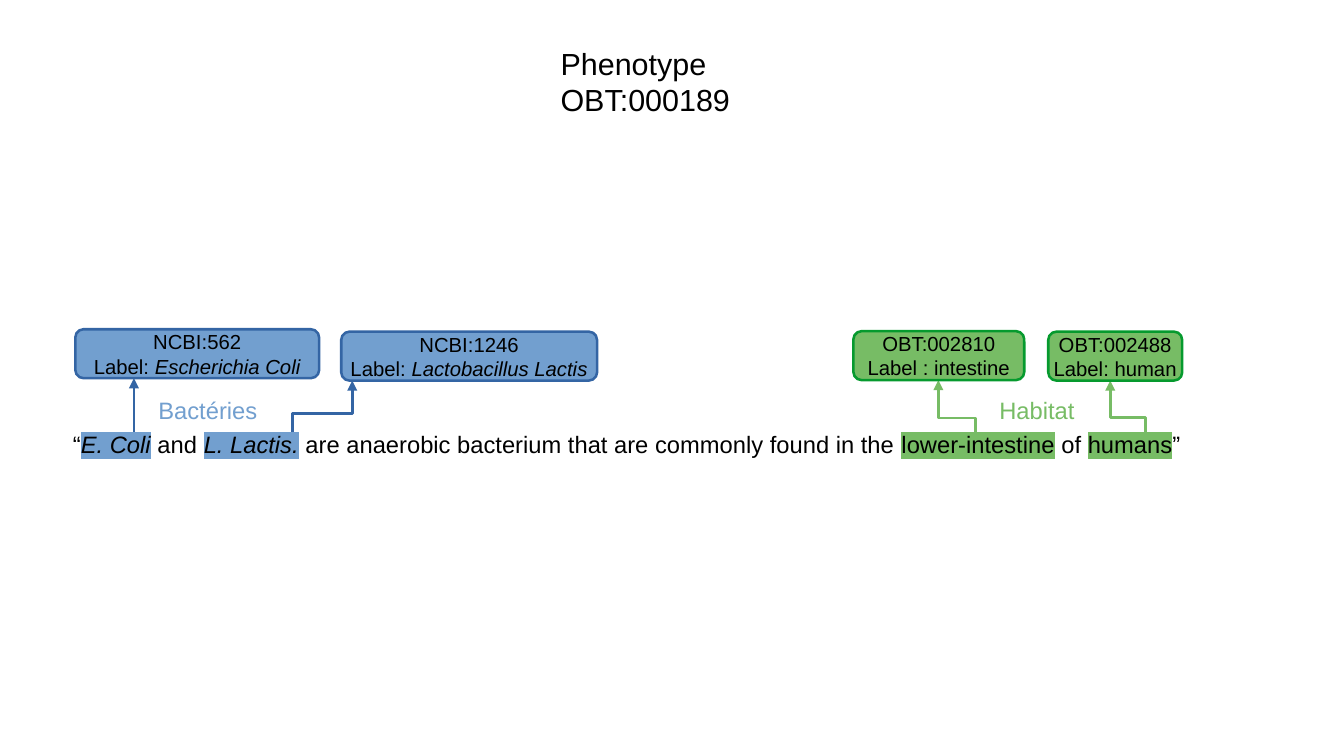
from lxml.etree import SubElement
from pptx import Presentation
from pptx.dml.color import RGBColor
from pptx.enum.shapes import MSO_CONNECTOR, MSO_SHAPE
from pptx.enum.text import MSO_ANCHOR, MSO_AUTO_SIZE, PP_ALIGN
from pptx.oxml.ns import qn
from pptx.util import Cm, Pt

THEME = {
    "font": "Arial", "title": 18, "body": 14, "label": 12, "line": 1.5,
    "ink": "000000", "blue": "729FCF", "navy": "3465A4",
    "green": "77BC65", "leaf": "069A2E",
}

# Runs are (text, italic, highlight); lengths are in cm.
TITLE = [("Phenotype\vOBT:000189", False, None)]
SENTENCE = [
    ("“", False, None),
    ("E. Coli", True, "blue"),
    (" and ", False, None),
    ("L. Lactis.", True, "blue"),
    (" are anaerobic bacterium that are commonly found in the ", False, None),
    ("lower-intestine", False, "green"),
    (" of ", False, None),
    ("humans", False, "green"),
    ("”", False, None),
]
# left, top, width, fill, edge, code, label, name, italic name
BOXES = [
    (1.57, 6.86, 5.08, "blue", "navy", "NCBI:562", "Label: ", "Escherichia Coli", True),
    (7.11, 6.91, 5.33, "blue", "navy", "NCBI:1246", "Label: ", "Lactobacillus Lactis", True),
    (17.78, 6.9, 3.56, "green", "leaf", "OBT:002810", "Label : ", "intestine", False),
    (21.84, 6.91, 2.79, "green", "leaf", "OBT:002488", "Label: ", "human", False),
]
BOX_HIGH = 1.02
# start, end, colour
LINKS = [
    ((6.09, 9.3), (7.34, 7.93), "navy"),
    ((20.32, 9.5), (19.55, 7.92), "green"),
    ((23.87, 9.47), (23.13, 7.93), "green"),
    ((2.79, 9.4), (2.79, 7.88), "navy"),
]
# left, top, width, height, runs, size, colour, alignment
TEXTS = [
    (11.43, 0.81, 7.82, 1.68, TITLE, "title", "ink", PP_ALIGN.LEFT),
    (20.57, 8.13, 3.07, 0.81, [("Habitat", False, None)], "body", "green", PP_ALIGN.LEFT),
    (1.27, 8.84, 23.62, 1.37, SENTENCE, "body", "ink", PP_ALIGN.JUSTIFY),
    (3.05, 8.13, 6.1, 1.37, [("Bactéries", False, None)], "body", "blue", PP_ALIGN.LEFT),
]


def color(name):
    return RGBColor.from_string(THEME[name])


def write(para, runs, size, ink, align):
    para.alignment = align
    para.text = "".join(text for text, _, _ in runs) if len(runs) == 1 else ""
    if len(runs) > 1:
        for text, _, _ in runs:
            para.add_run().text = text
    looks = runs if len(runs) > 1 else runs * len(para.runs)
    for run, (_, slant, mark) in zip(para.runs, looks):
        font = run.font
        font.size = Pt(THEME[size])
        font.italic = slant
        font.color.rgb = color(ink)
        if mark:
            tint = SubElement(run._r.get_or_add_rPr(), qn("a:highlight"))
            SubElement(tint, qn("a:srgbClr"), val=THEME[mark])
        font.name = THEME["font"]


def add_link(slide, start, end, ink):
    """Draw an upward arrow; a bent one is a level elbow turned a quarter."""
    (x1, y1), (x2, y2) = start, end
    kind, turn = MSO_CONNECTOR.STRAIGHT, 0
    if x1 != x2:
        kind = MSO_CONNECTOR.ELBOW
        turn = 270 if x2 < x1 else 90
        mid_x, mid_y = (x1 + x2) / 2, (y1 + y2) / 2
        half_w, half_h = abs(y1 - y2) / 2, abs(x1 - x2) / 2
        side = -1 if turn == 270 else 1
        x1, x2 = mid_x + side * half_w, mid_x - side * half_w
        y1, y2 = mid_y + half_h, mid_y - half_h
    link = slide.shapes.add_connector(kind, Cm(x1), Cm(y1), Cm(x2), Cm(y2))
    link.line.color.rgb = color(ink)
    link.line.width = Pt(THEME["line"])
    props = link._element.spPr
    if turn:
        props.find(qn("a:xfrm")).set("rot", str(turn * 60000))
    SubElement(props.find(qn("a:ln")), qn("a:tailEnd"), type="triangle")
    SubElement(props, qn("a:effectLst"))


def add_box(slide, left, top, width, fill, edge, code, label, name, slant):
    box = slide.shapes.add_shape(
        MSO_SHAPE.ROUNDED_RECTANGLE, Cm(left), Cm(top), Cm(width), Cm(BOX_HIGH))
    box.shadow.inherit = False
    box.fill.solid()
    box.fill.fore_color.rgb = color(fill)
    box.line.color.rgb = color(edge)
    box.line.width = Pt(THEME["line"])
    frame = box.text_frame
    frame.word_wrap = False
    frame.vertical_anchor = MSO_ANCHOR.MIDDLE
    frame.margin_left = frame.margin_right = Cm(0.28)
    frame.margin_top = frame.margin_bottom = Cm(0.15)
    write(frame.paragraphs[0], [(code, False, None)], "label", "ink", PP_ALIGN.CENTER)
    runs = [(label, False, None), (name, slant, None)]
    write(frame.add_paragraph(), runs, "label", "ink", PP_ALIGN.CENTER)


def add_text(slide, left, top, width, height, runs, size, ink, align):
    area = slide.shapes.add_textbox(Cm(left), Cm(top), Cm(width), Cm(height))
    frame = area.text_frame
    frame.word_wrap = True
    frame.auto_size = MSO_AUTO_SIZE.SHAPE_TO_FIT_TEXT
    write(frame.paragraphs[0], runs, size, ink, align)


def main():
    deck = Presentation()
    deck.slide_width, deck.slide_height = Cm(28), Cm(15.75)
    slide = deck.slides.add_slide(deck.slide_layouts[6])
    for link in LINKS:
        add_link(slide, *link)
    for box in BOXES:
        add_box(slide, *box)
    for text in TEXTS:
        add_text(slide, *text)
    deck.save("out.pptx")


if __name__ == "__main__":
    main()
